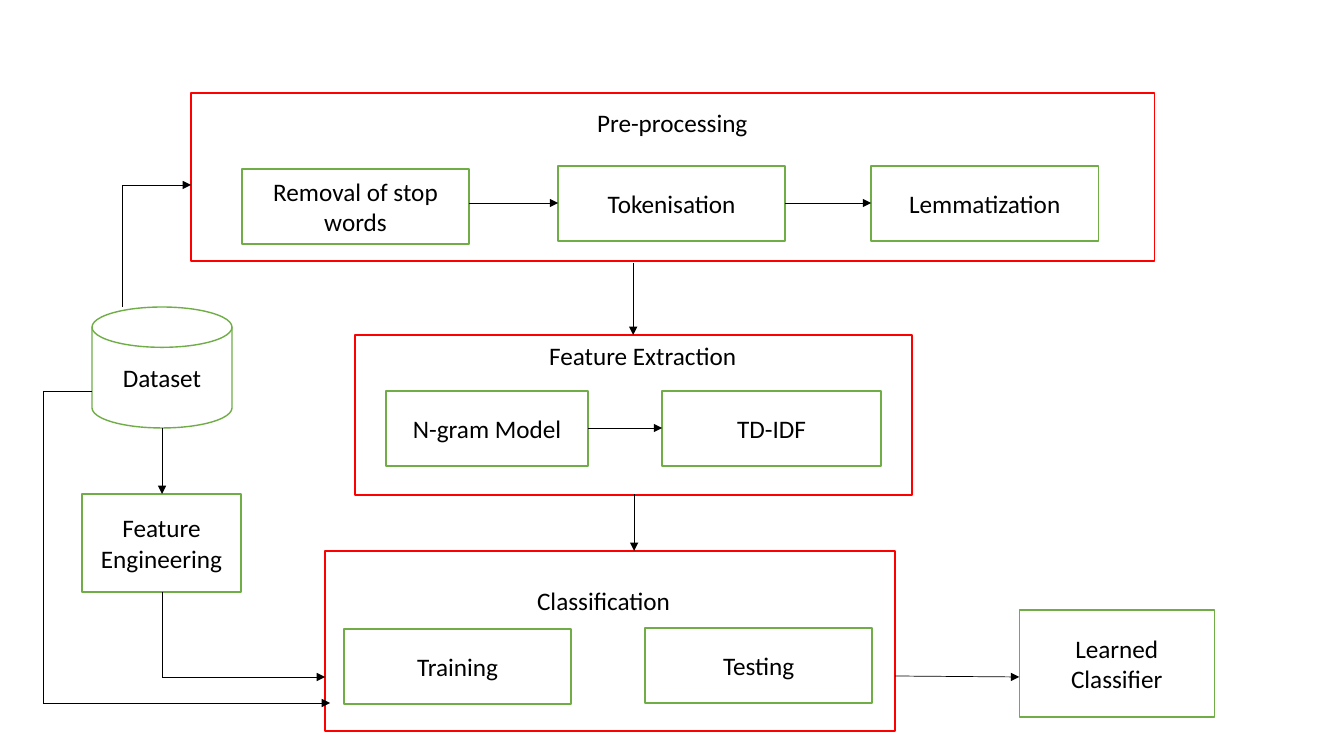
from itertools import pairwise

from pptx import Presentation
from pptx.dml.color import RGBColor
from pptx.enum.shapes import MSO_CONNECTOR, MSO_SHAPE
from pptx.enum.text import MSO_ANCHOR, PP_ALIGN
from pptx.oxml.ns import qn
from pptx.util import Inches, Pt
from lxml import etree

RECT = MSO_SHAPE.RECTANGLE
DISK = MSO_SHAPE.FLOWCHART_MAGNETIC_DISK
LINE = MSO_CONNECTOR.STRAIGHT
LEFT, MID = PP_ALIGN.LEFT, PP_ALIGN.CENTER
TOP, CORE = MSO_ANCHOR.TOP, MSO_ANCHOR.MIDDLE
SCALE = Inches(1) / 100.8
COLORS = {"paper": "FFFFFF", "stage": "FF0000", "step": "70AD47", "ink": "000000"}


def px(*sizes):
    return [round(size * SCALE) for size in sizes]


def tint(name):
    return RGBColor.from_string(COLORS[name])


def write(frame, text, size=18, font="Calibri", color="ink", align=MID, anchor=CORE):
    frame.word_wrap = True
    frame.vertical_anchor = anchor
    para = frame.paragraphs[0]
    para.alignment = align
    run = para.add_run()
    run.text = text
    run.font.size = Pt(size)
    run.font.name = font
    run.font.color.rgb = tint(color)


class Chart:
    def __init__(self, slide, edge=1, wire=0.5):
        self.slide = slide
        self.edge = edge
        self.wire = wire

    def box(self, area, color, text=None, kind=RECT):
        shape = self.slide.shapes.add_shape(kind, *px(*area))
        shape.shadow.inherit = False
        shape.fill.solid()
        shape.fill.fore_color.rgb = tint("paper")
        shape.line.color.rgb = tint(color)
        shape.line.width = Pt(self.edge)
        if text:
            write(shape.text_frame, text)

    def label(self, area, text):
        frame = self.slide.shapes.add_textbox(*px(*area)).text_frame
        write(frame, text, align=LEFT, anchor=TOP)

    def route(self, *points):
        for start, end in pairwise(points):
            line = self.slide.shapes.add_connector(LINE, *px(*start, *end))
            line.line.color.rgb = tint("ink")
            line.line.width = Pt(self.wire)
            props = line.element.spPr
            etree.SubElement(props, qn("a:effectLst"))
        tail = etree.SubElement(props.find(qn("a:ln")), qn("a:tailEnd"))
        tail.set("type", "triangle")


deck = Presentation()
deck.slide_width, deck.slide_height = Inches(13.33), Inches(7.5)
chart = Chart(deck.slides.add_slide(deck.slide_layouts[6]))

stages = [
    ("Classification", (325, 551, 570, 180), (527, 580)),
    ("Feature Extraction", (355, 335, 557, 160), (539, 335)),
    ("Pre-processing", (191, 93, 963, 168), (587, 102)),
]
for text, area, spot in stages:
    chart.box(area, "stage")
    chart.label((*spot, 233, 40), text)

WIDE, TALL = 227, 75
steps = [
    ("Removal of stop words", (242, 169, WIDE, TALL)),
    ("Tokenisation", (558, 166, WIDE, TALL)),
    ("Lemmatization", (871, 166, WIDE, TALL)),
    ("N-gram Model", (386, 391, 202, TALL)),
    ("TD-IDF", (662, 391, 219, TALL)),
    ("Training", (344, 629, WIDE, TALL)),
    ("Testing", (645, 628, WIDE, TALL)),
    ("Feature Engineering", (82, 494, 159, 98)),
    ("Learned Classifier", (1019, 610, 195, 107)),
]
for text, area in steps:
    chart.box(area, "step", text)
chart.box((92, 307, 140, 121), "step", "Dataset", DISK)

routes = [
    [(122, 307), (122, 185), (191, 185)],
    [(162, 428), (162, 494)],
    [(162, 592), (162, 677), (325, 677)],
    [(92, 391), (43, 391), (43, 703), (330, 703)],
    [(469, 203), (558, 203)],
    [(785, 203), (871, 203)],
    [(633, 263), (633, 335)],
    [(634, 494), (634, 551)],
    [(588, 428), (662, 428)],
    [(895, 676), (1019, 677)],
]
for points in routes:
    chart.route(*points)

deck.save("out.pptx")
